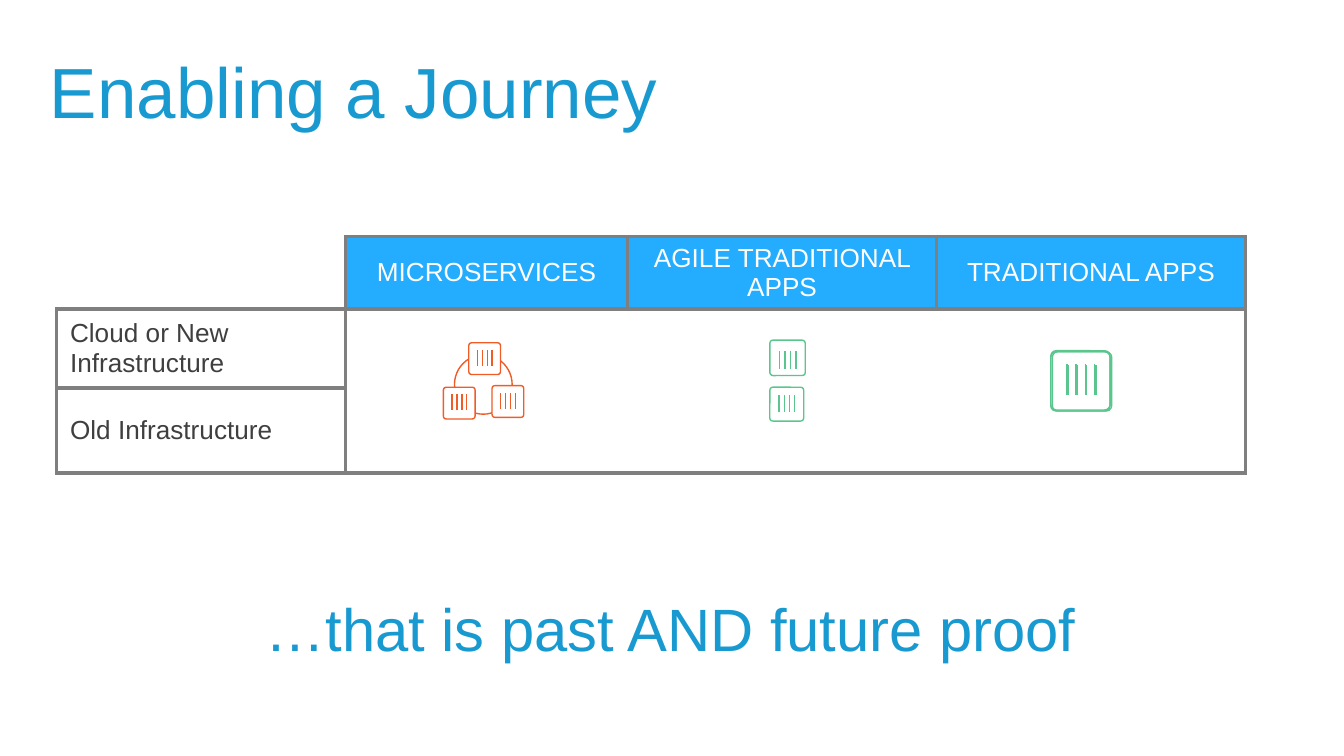
from lxml import etree
from pptx import Presentation
from pptx.dml.color import RGBColor
from pptx.enum import shapes, text
from pptx.oxml import ns
from pptx.util import Cm, Pt

BLUE = RGBColor(0x18, 0x9A, 0xD1)
SKY = RGBColor(0x24, 0xAC, 0xFF)
GRAY = RGBColor(0x7F, 0x7F, 0x7F)
DARK = RGBColor(0x3F, 0x3F, 0x3F)
WHITE = RGBColor(0xFF, 0xFF, 0xFF)
RED = RGBColor(0xF1, 0x5B, 0x25)
GREEN = RGBColor(0x5A, 0xC6, 0x8D)

# All lengths are in centimetres.
TITLE = ("Enabling a Journey", (0.69, 0.43, 24.61, 1.96), 38, 1.37, text.PP_ALIGN.LEFT)
CLOSE = ("…that is past AND future proof", (1.12, 10.49, 23.14, 1.9), 32, 1.62,
         text.PP_ALIGN.CENTER)

GRID = [
    ["", "MICROSERVICES", "AGILE TRADITIONAL APPS", "TRADITIONAL APPS"],
    ["Cloud or New Infrastructure", "", "", ""],
    ["Old Infrastructure", "", "", ""],
]
CORNER = (1.07, 4.47)
COLS = (5.46, 5.33, 5.84, 5.84)
ROWS = (1.27, 1.5, 1.6)

# Each icon: line colour, box fill, ring, boxes as (left, top, size, bar top share)
ICONS = [
    (RED, WHITE, (8.59, 6.71, 1.09, 1.12),
     [(8.38, 7.32, 0.6, 0.22), (9.3, 7.29, 0.6, 0.22), (8.86, 6.48, 0.6, 0.22)]),
    (GREEN, None, None,
     [(19.86, 6.63, 1.12, 0.23), (19.89, 6.65, 1.12, 0.23), (19.86, 6.65, 1.12, 0.23)]),
    (GREEN, None, None, [(14.55, 7.32, 0.64, 0.23), (14.55, 6.43, 0.67, 0.31)]),
]


def write(frame, words, size, color, align):
    frame.word_wrap = True
    par = frame.paragraphs[0]
    par.alignment = align
    run = par.add_run()
    run.text = words
    run.font.name = "Arial"
    run.font.size = Pt(size)
    run.font.color.rgb = color
    return par


def headline(shape, words, box, size, gap, align):
    shape.left, shape.top, shape.width, shape.height = map(Cm, box)
    frame = shape.text_frame
    frame.auto_size = text.MSO_AUTO_SIZE.NONE
    frame.vertical_anchor = text.MSO_ANCHOR.MIDDLE
    write(frame, words, size, BLUE, align).line_spacing = gap


def border(cell, sides):
    props = cell._tc.get_or_add_tcPr()
    for i, side in enumerate(sides):
        line = etree.Element(ns.qn("a:ln" + side), w=str(Pt(2.25)))
        fill = etree.SubElement(line, ns.qn("a:solidFill"))
        etree.SubElement(fill, ns.qn("a:srgbClr"), val=str(GRAY))
        props.insert(i, line)


def matrix(slide):
    frame = slide.shapes.add_table(len(ROWS), len(COLS), *map(Cm, CORNER),
                                   Cm(sum(COLS)), Cm(sum(ROWS)))
    table = frame.table
    table.first_row = table.horz_banding = False
    for col, width in zip(table.columns, COLS):
        col.width = Cm(width)
    for row, height in zip(table.rows, ROWS):
        row.height = Cm(height)
    table.cell(1, 1).merge(table.cell(2, 3))
    for r, row in enumerate(GRID):
        for c, words in enumerate(row):
            cell = table.cell(r, c)
            cell.vertical_anchor = text.MSO_ANCHOR.MIDDLE
            head = r == 0 and c > 0
            if head:
                cell.fill.solid()
                cell.fill.fore_color.rgb = SKY
            else:
                cell.fill.background()
            border(cell, "RB" if r == c == 0 else "LRTB")
            if words:
                write(cell.text_frame, words, 14, WHITE if head else DARK,
                      text.PP_ALIGN.CENTER if head else text.PP_ALIGN.LEFT)


def outline(group, kind, box, color, fill=None):
    shape = group.shapes.add_shape(kind, *map(Cm, box))
    shape.shadow.inherit = False
    if fill is None:
        shape.fill.background()
    else:
        shape.fill.solid()
        shape.fill.fore_color.rgb = fill
    shape.line.color.rgb = color
    shape.line.width = Pt(0.75)
    return shape


def crate(group, left, top, size, share, color, fill):
    """Rounded square with four upright bars."""
    box = outline(group, shapes.MSO_SHAPE.ROUNDED_RECTANGLE, (left, top, size, size),
                  color, fill)
    box.adjustments[0] = 0.09
    high = top + share * size
    for i in range(4):
        x = left + size * (0.27 + 0.155 * i)
        bar = group.shapes.add_connector(shapes.MSO_CONNECTOR.STRAIGHT, Cm(x),
                                         Cm(high + size / 2), Cm(x), Cm(high))
        bar.line.color.rgb = color
        bar.line.width = Pt(0.75)
        etree.SubElement(bar._element.spPr, ns.qn("a:effectLst"))


def main():
    deck = Presentation()
    deck.slide_width, deck.slide_height = Cm(25.4), Cm(14.29)
    slide = deck.slides.add_slide(deck.slide_layouts[5])
    headline(slide.shapes.title, *TITLE)
    matrix(slide)
    for color, fill, ring, boxes in ICONS:
        group = slide.shapes.add_group_shape()
        if ring:
            outline(group, shapes.MSO_SHAPE.OVAL, ring, color)
        for box in boxes:
            crate(group, *box, color, fill)
    headline(slide.shapes.add_textbox(0, 0, 0, 0), *CLOSE)
    deck.save("out.pptx")


if __name__ == "__main__":
    main()
